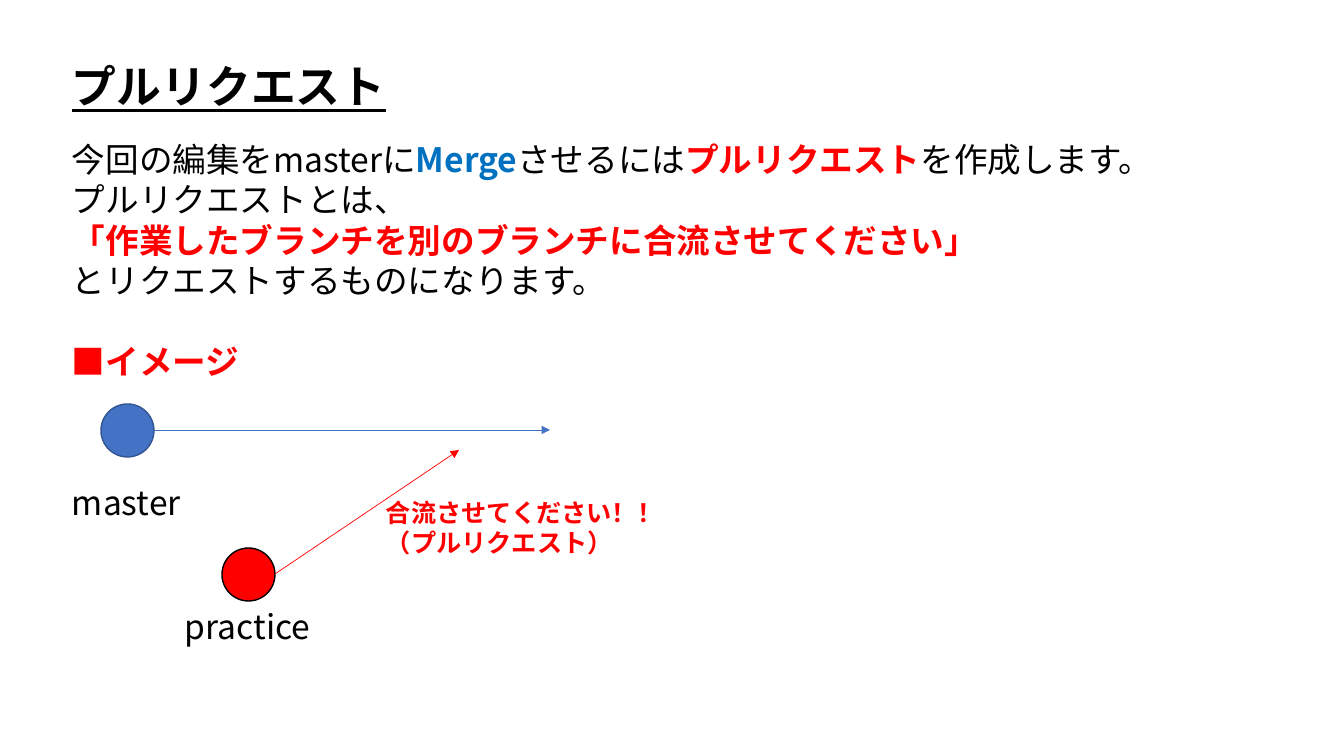
from lxml import etree
from pptx import Presentation
from pptx import util as u
from pptx.dml.color import RGBColor
from pptx.enum import shapes, text
from pptx.oxml.ns import qn

EMU_PER_PX = 914400 / 100.8
FONT = "Noto Sans CJK JP"
COLORS = {"black": "000000", "red": "FF0000", "blue": "0070C0",
          "master": "4472C4", "master_edge": "325491"}

# Content: text boxes hold paragraphs, paragraphs hold (text, color, bold) runs
TITLE = [[("プルリクエスト", "black", True)]]
BODY = [
    [("今回の編集をmasterに", "black", False), ("Merge", "blue", True),
     ("させるには", "black", False), ("プルリクエスト", "red", True),
     ("を作成します。", "black", False)],
    [("プルリクエストとは、", "black", False)],
    [("「作業したブランチを別のブランチに合流させてください」", "red", True)],
    [("とリクエストするものになります。", "black", False)],
    [("■イメージ", "red", True)],
]
REQUEST = [[("合流させてください！！", "red", True)],
           [("（プルリクエスト）", "red", True)]]

# (left, top, width, height) in px, font size in pt, paragraphs
TEXT_BOXES = {
    "title": ((62, 54, 337, 65), 32, TITLE),
    "body": ((62, 134, 1111, 254), 24, BODY),
    "master": ((62, 477, 129, 50), 24, [[("master", "black", False)]]),
    "practice": ((175, 601, 146, 50), 24, [[("practice", "black", False)]]),
    "request": ((376, 492, 300, 72), 18, REQUEST),
}
HEADING_GAP = 29  # pt, one body line above the last body paragraph

# Branch: left and top of its commit, arrow end, fill, edge
COMMIT_SIZE = 53
BRANCHES = [
    ((101, 404), (550, 430), "master", "master_edge"),
    ((222, 548), (459, 450), "red", "black"),
]


def px(*values):
    return [u.Emu(round(value * EMU_PER_PX)) for value in values]


def rgb(name):
    return RGBColor.from_string(COLORS[name])


def add_text(slide, box, size, paragraphs):
    shape = slide.shapes.add_textbox(*px(*box))
    frame = shape.text_frame
    frame.word_wrap = False
    frame.auto_size = text.MSO_AUTO_SIZE.SHAPE_TO_FIT_TEXT
    for index, runs in enumerate(paragraphs):
        paragraph = frame.add_paragraph() if index else frame.paragraphs[0]
        paragraph.font.size = u.Pt(size)
        paragraph.font.name = FONT
        # East Asian glyphs take their own typeface
        etree.SubElement(paragraph.font._rPr, qn("a:ea"), typeface=FONT)
        for words, color, bold in runs:
            run = paragraph.add_run()
            run.text = words
            run.font.bold = bold
            run.font.color.rgb = rgb(color)
    return frame


def add_commit(slide, left, top, fill, edge):
    shape = slide.shapes.add_shape(shapes.MSO_SHAPE.OVAL,
                                   *px(left, top, COMMIT_SIZE, COMMIT_SIZE))
    shape.shadow.inherit = False
    shape.fill.solid()
    shape.fill.fore_color.rgb = rgb(fill)
    shape.line.color.rgb = rgb(edge)
    shape.line.width = u.Pt(1)


def add_arrow(slide, start, end, color):
    connector = slide.shapes.add_connector(shapes.MSO_CONNECTOR.STRAIGHT,
                                           *px(*start, *end))
    connector.line.color.rgb = rgb(color)
    connector.line.width = u.Pt(0.5)
    etree.SubElement(connector.line._get_or_add_ln(), qn("a:tailEnd"),
                     type="triangle")
    etree.SubElement(connector._element.spPr, qn("a:effectLst"))


def main():
    presentation = Presentation()
    presentation.slide_width, presentation.slide_height = px(1344, 756)
    slide = presentation.slides.add_slide(presentation.slide_layouts[6])

    # Branch diagram
    for (left, top), end, fill, edge in BRANCHES:
        add_commit(slide, left, top, fill, edge)
        start = (left + COMMIT_SIZE, top + COMMIT_SIZE // 2)
        add_arrow(slide, start, end, fill)

    # Texts
    frames = {name: add_text(slide, *parts)
              for name, parts in TEXT_BOXES.items()}
    frames["title"].paragraphs[0].font.underline = True
    frames["body"].paragraphs[-1].space_before = u.Pt(HEADING_GAP)

    presentation.save("out.pptx")


if __name__ == "__main__":
    main()
